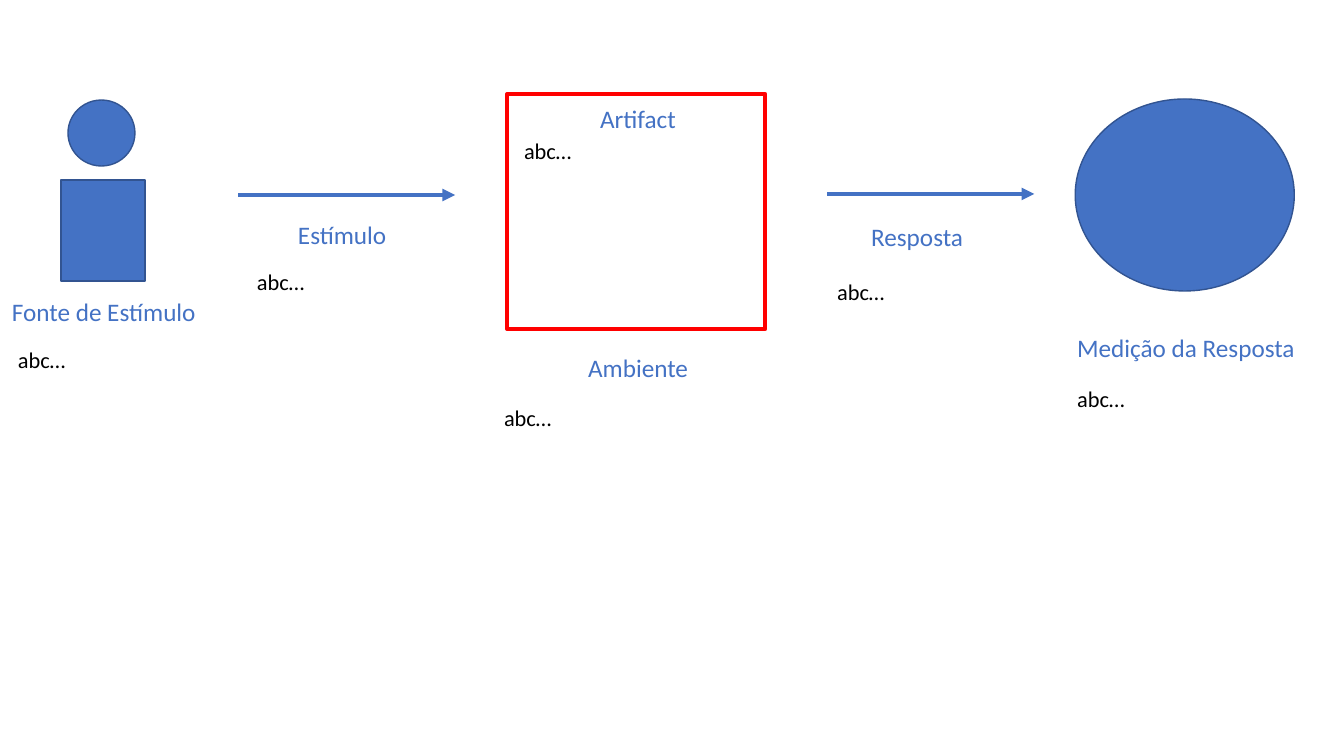
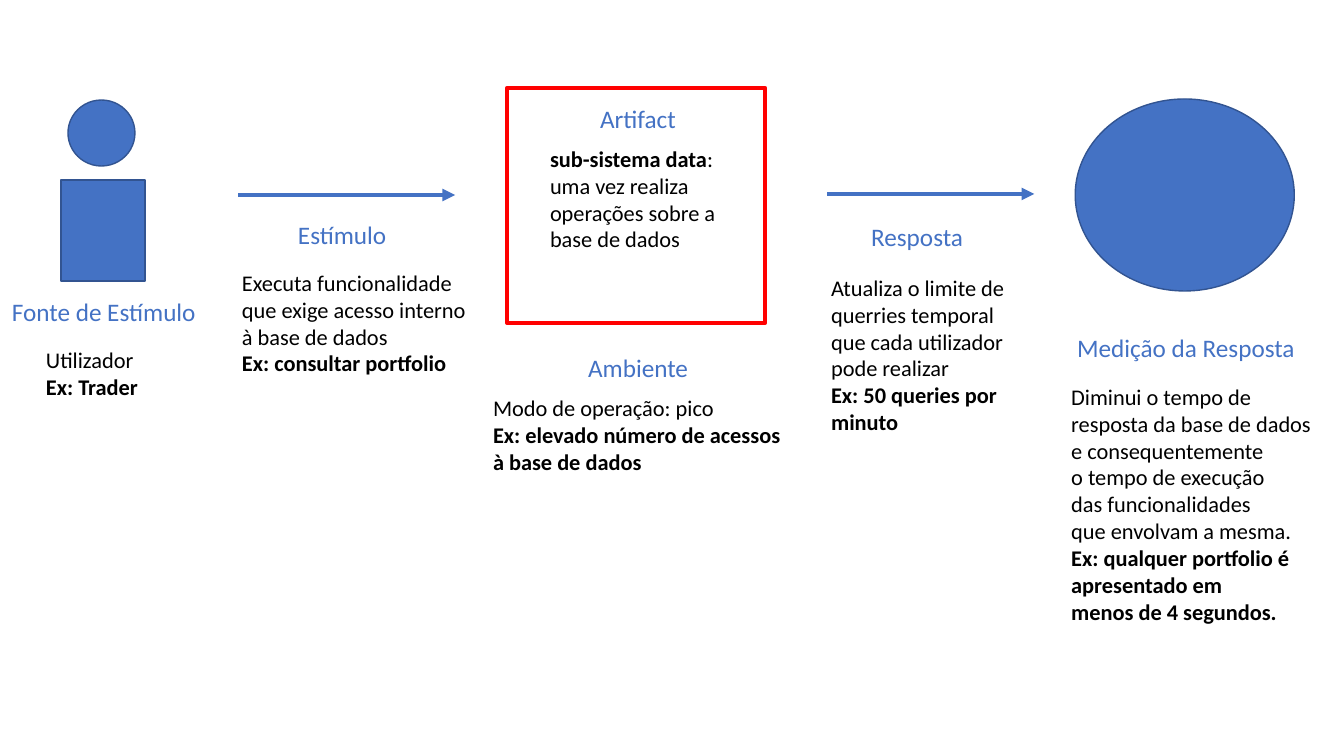
import pptx
import pptx.util
import pptx.dml.color
import pptx.enum.shapes
import pptx.enum.text
import pptx.oxml.ns
import lxml.etree

RGBColor = pptx.dml.color.RGBColor
BLUE = RGBColor(0x44, 0x72, 0xC4)
DARK_BLUE = RGBColor(0x32, 0x54, 0x91)
RED = RGBColor(0xFF, 0x00, 0x00)
BLACK = RGBColor(0x00, 0x00, 0x00)
FONT = "Calibri"
HEADING_SIZE, BODY_SIZE = 18, 16
PIXEL = pptx.util.Inches(1) / 100.8

RECTANGLE = pptx.enum.shapes.MSO_SHAPE.RECTANGLE
OVAL = pptx.enum.shapes.MSO_SHAPE.OVAL

BLUE_SHAPES = [
    (RECTANGLE, (61, 180, 84, 101)),
    (OVAL, (68, 100, 67, 66)),
    (OVAL, (1075, 99, 219, 192)),
]
ARROWS = [(238, 455, 195), (827, 1034, 194)]
HEADINGS = [
    ("Fonte de Estímulo", (2, 291, 207, 72)),
    ("Estímulo", (288, 214, 110, 102)),
    ("Ambiente", (578, 347, 121, 102)),
    ("Resposta", (861, 216, 113, 132)),
    ("Medição da Resposta", (1067, 327, 240, 102)),
    ("Artifact", (590, 98, 97, 102)),
]

PLACEHOLDER_BODY = [[("abc…", False)]]
PLACEHOLDER_CORNERS = [(8, 341), (247, 263), (827, 273), (494, 399), (514, 132), (1067, 380)]
TEMPLATE_BODIES = [(PLACEHOLDER_BODY, (left, top, 69, 37)) for left, top in PLACEHOLDER_CORNERS]

EXAMPLE_BODIES = [
    ([[("Utilizador", False)],
      [("Ex: Trader", True)]], (36, 341, 114, 65)),
    ([[("Executa funcionalidade", False)],
      [("que exige acesso interno", False)],
      [("à base de dados", False)],
      [("Ex: consultar portfolio", True)]], (232, 264, 247, 119)),
    ([[("Atualiza o limite de", False)],
      [("querries temporal", False)],
      [("que cada utilizador", False)],
      [("pode realizar", False)],
      [("Ex: 50 queries por", True)],
      [("minuto", True)]], (821, 269, 200, 173)),
    ([[("Modo de operação: pico", False)],
      [("Ex: elevado número de acessos", True)],
      [("à base de dados", True)]], (483, 389, 317, 92)),
    ([[("sub-sistema data", True), (":", False)],
      [("uma vez realiza", False)],
      [("operações sobre a", False)],
      [("base de dados", False)]], (540, 140, 194, 119)),
    ([[("Diminui o tempo de", False)],
      [("resposta da base de dados", False)],
      [("e consequentemente", False)],
      [("o tempo de execução", False)],
      [("das funcionalidades", False)],
      [("que envolvam a mesma.", False)],
      [("Ex: qualquer portfolio é", True)],
      [("apresentado em", True)],
      [("menos de 4 segundos.", True)]], (1061, 378, 263, 308)),
]

SLIDES = [(94, TEMPLATE_BODIES), (88, EXAMPLE_BODIES)]


def emu(*pixels):
    return [round(pixel * PIXEL) for pixel in pixels]


def add_figure(slide, kind, box, fill, line, line_width):
    shape = slide.shapes.add_shape(kind, *emu(*box))
    shape.shadow.inherit = False
    if fill is None:
        shape.fill.background()
    else:
        shape.fill.solid()
        shape.fill.fore_color.rgb = fill
    shape.line.color.rgb = line
    shape.line.width = pptx.util.Pt(line_width)


def add_arrow(slide, start, end, height):
    straight = pptx.enum.shapes.MSO_CONNECTOR.STRAIGHT
    arrow = slide.shapes.add_connector(straight, *emu(start, height, end, height))
    arrow.line.color.rgb = BLUE
    arrow.line.width = pptx.util.Pt(3)
    outline = arrow.line._get_or_add_ln()
    lxml.etree.SubElement(outline, pptx.oxml.ns.qn("a:tailEnd"), type="triangle")
    lxml.etree.SubElement(arrow._element.spPr, pptx.oxml.ns.qn("a:effectLst"))


def add_text(slide, lines, box, size, color):
    frame = slide.shapes.add_textbox(*emu(*box)).text_frame
    frame.word_wrap = True
    frame.auto_size = pptx.enum.text.MSO_AUTO_SIZE.NONE
    frame.margin_right = 0
    for index, line in enumerate(lines):
        paragraph = frame.add_paragraph() if index else frame.paragraphs[0]
        for words, bold in line:
            run = paragraph.add_run()
            run.text = words
            run.font.name = FONT
            run.font.size = pptx.util.Pt(size)
            run.font.bold = bold
            run.font.color.rgb = color


def add_scenario(presentation, artifact_top, bodies):
    slide = presentation.slides.add_slide(presentation.slide_layouts[6])
    for kind, box in BLUE_SHAPES:
        add_figure(slide, kind, box, BLUE, DARK_BLUE, 1)
    add_figure(slide, RECTANGLE, (507, artifact_top, 258, 235), None, RED, 3)
    for start, end, height in ARROWS:
        add_arrow(slide, start, end, height)
    for heading, box in HEADINGS:
        add_text(slide, [[(heading, False)]], box, HEADING_SIZE, BLUE)
    for lines, box in bodies:
        add_text(slide, lines, box, BODY_SIZE, BLACK)


presentation = pptx.Presentation()
presentation.slide_width = pptx.util.Inches(13.33)
presentation.slide_height = pptx.util.Inches(7.5)
for artifact_top, bodies in SLIDES:
    add_scenario(presentation, artifact_top, bodies)
presentation.save("out.pptx")
